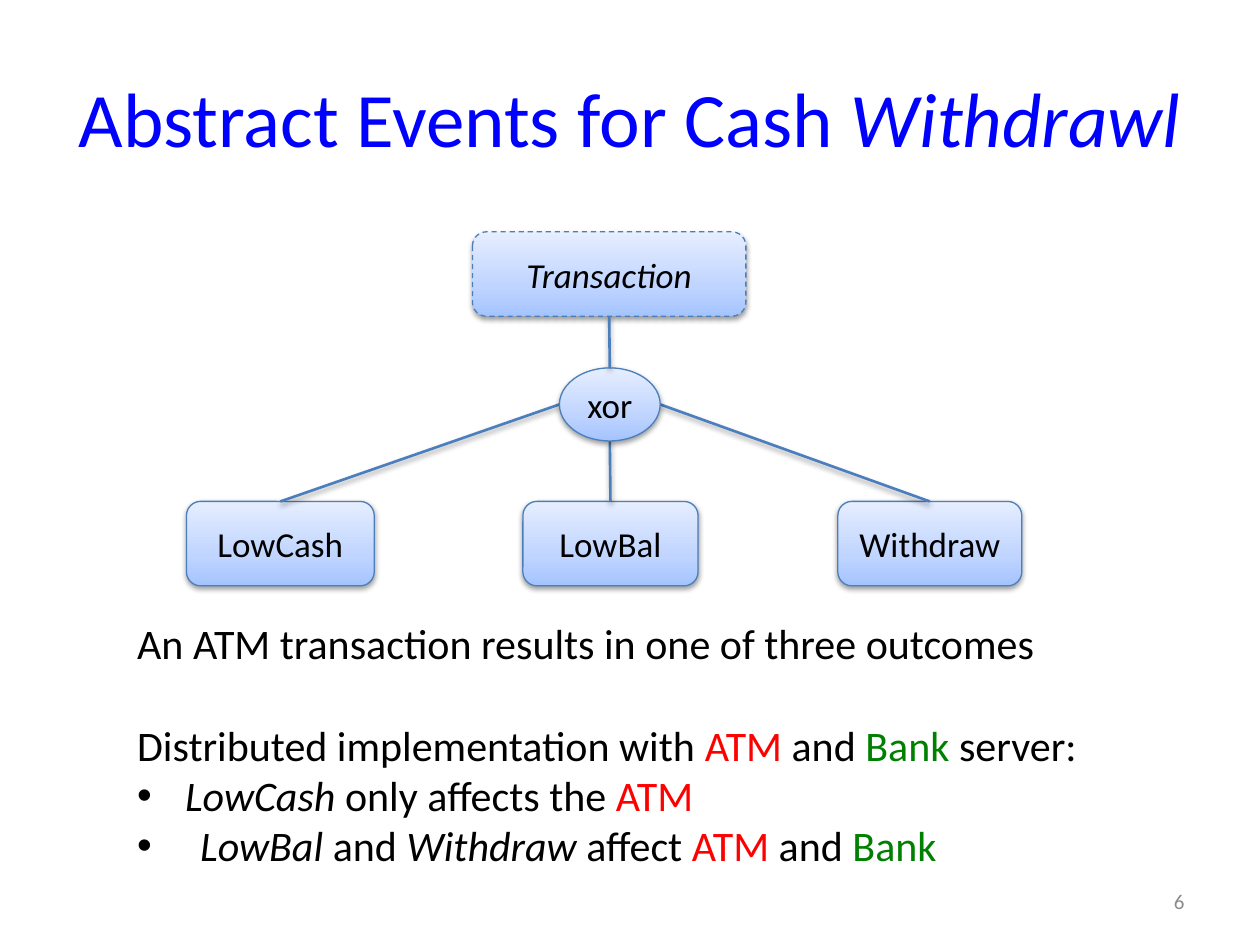
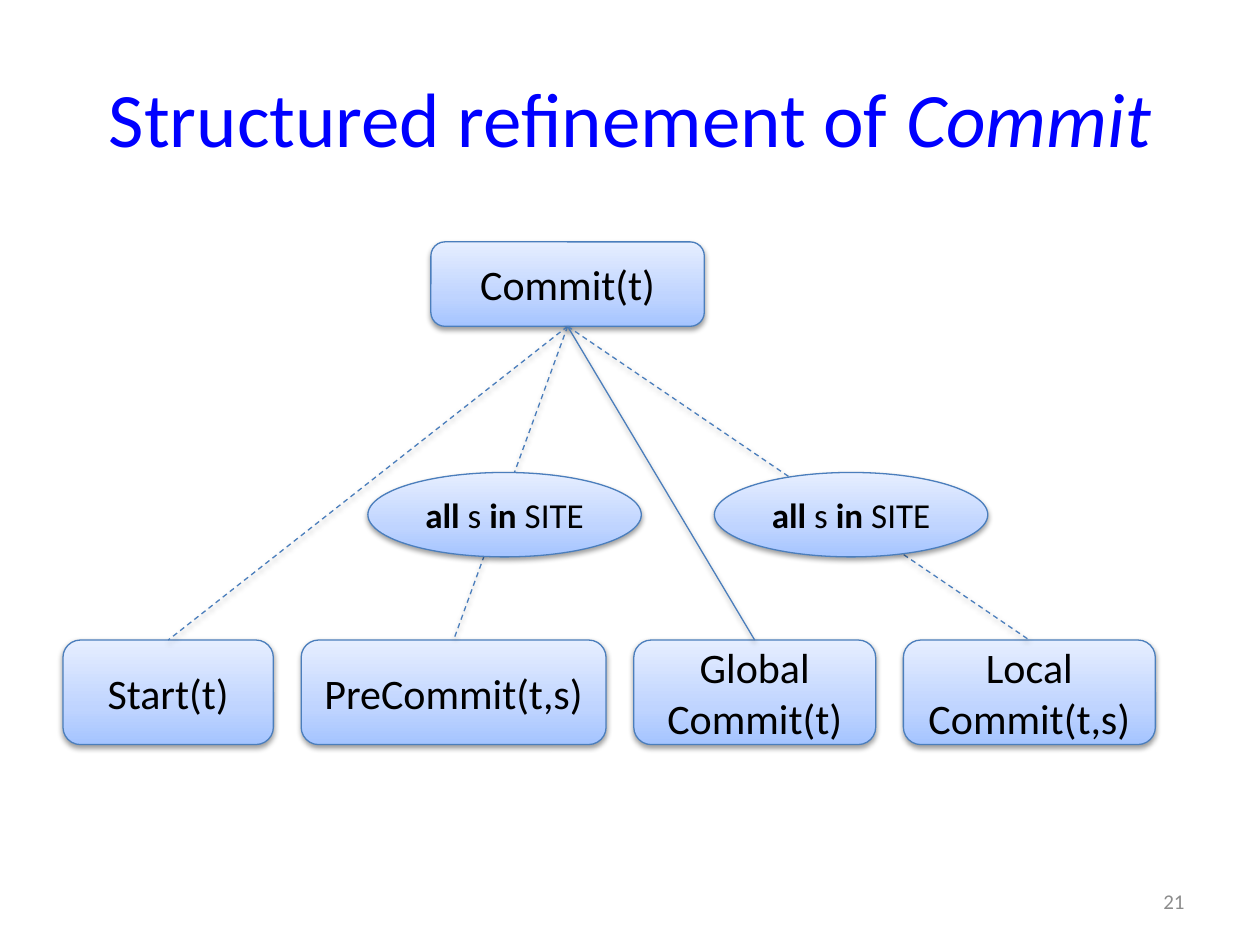
import copy
import pptx
import pptx.util
import pptx.dml.color
import pptx.enum.dml
import pptx.enum.shapes
import pptx.enum.text
import pptx.oxml
import pptx.oxml.ns

Inches = pptx.util.Inches
Pt = pptx.util.Pt
KIND = pptx.enum.shapes.MSO_SHAPE
ALIGN = pptx.enum.text.PP_ALIGN
MIDDLE = pptx.enum.text.MSO_ANCHOR.MIDDLE
DASH = pptx.enum.dml.MSO_LINE.DASH

FONT = "Calibri"
HUES = {"title": "0000FF", "text": "000000", "red": "FF0000", "green": "008000",
        "edge": "4B7EBC", "page": "8C8C8C"}
STOPS = [(0, "A4C4FF"), (0.35, "BFD4FF"), (1, "E6EEFF")]
SHADOW = """<a:effectLst %s><a:outerShdw blurRad="40000" dist="20000" dir="5400000"
 rotWithShape="0"><a:srgbClr val="000000"><a:alpha val="38000"/></a:srgbClr>
</a:outerShdw></a:effectLst>""" % pptx.oxml.ns.nsdecls("a")

CASH = {
    "title": [("Abstract Events for Cash ", ""), ("Withdrawl", "i")],
    "page": "6",
    "root": ([("Transaction", "i")], (3.75, 1.84, 2.17, 0.67)),
    "leaves": [("LowCash", 1.48, 1.49), ("LowBal", 4.15, 1.39), ("Withdraw", 6.65, 1.46)],
    "xor": ([("xor", "")], (4.44, 2.92, 0.8, 0.58)),
}
NOTES = [
    ([("An ATM transaction results in one of three outcomes", "")], 0, 0),
    ([("Distributed implementation with ", ""), ("ATM", "red"), (" and ", ""),
      ("Bank", "green"), (" server:", "")], 0, 29.3),
    ([("LowCash", "i"), (" only affects the ", ""), ("ATM", "red")], 0.38, 0),
    ([("LowBal", "i"), (" and ", ""), ("Withdraw", "i"), (" affect ", ""),
      ("ATM", "red"), (" and ", ""), ("Bank", "green")], 0.5, 0),
]
COMMIT = {
    "title": [("Structured refinement of ", ""), ("Commit", "i")],
    "page": "21",
    "root": ([("Commit(t)", "")], (3.42, 1.92, 2.17, 0.67)),
    "leaves": [("Start(t)", 1.67, True), ("PreCommit(t,s)", 2.42, True),
               ("Global Commit(t)", 1.92, False), ("Local Commit(t,s)", 2, True)],
    "loops": [5.67, 2.92],
}
LOOP = [("all ", "b"), ("s ", ""), ("in ", "b"), ("SITE", "")]


def paint(hue):
    return pptx.dml.color.RGBColor.from_string(HUES.get(hue, hue))


def write(para, runs, size, hue="text", align=None):
    para.alignment = align
    for words, style in runs:
        run = para.add_run()
        run.text = words
        font = run.font
        font.name, font.size = FONT, Pt(size)
        font.bold, font.italic = style == "b", style == "i"
        font.color.rgb = paint(style if style in HUES else hue)


def trace(item, width, dash):
    item.line.color.rgb = paint("edge")
    item.line.width = Pt(width)
    if dash:
        item.line.dash_style = DASH
    item._element.spPr.append(pptx.oxml.parse_xml(SHADOW))


def node(slide, kind, runs, spot, size, dash=False):
    shape = slide.shapes.add_shape(kind, *map(Inches, spot))
    shape.fill.gradient()
    shape.fill.gradient_angle = 90
    stops = shape._element.spPr.find(".//" + pptx.oxml.ns.qn("a:gsLst"))
    stops.insert(1, copy.deepcopy(stops[0]))
    for stop, (place, hue) in zip(shape.fill.gradient_stops, STOPS):
        stop.position = place
        stop.color.rgb = paint(hue)
    trace(shape, 0.75, dash)
    frame = shape.text_frame
    frame.word_wrap = True
    frame.vertical_anchor = MIDDLE
    write(frame.paragraphs[0], runs, size, align=ALIGN.CENTER)


def link(slide, start, end, width, dash=False):
    line = slide.shapes.add_connector(pptx.enum.shapes.MSO_CONNECTOR.STRAIGHT,
                                      *map(Inches, start + end))
    trace(line, width, dash)


def top(spot):
    return spot[0] + spot[2] / 2, spot[1]


def foot(spot):
    return spot[0] + spot[2] / 2, spot[1] + spot[3]


def text(slide, spot):
    frame = slide.shapes.add_textbox(*map(Inches, spot)).text_frame
    frame.word_wrap = True
    return frame


def start(deck, data):
    slide = deck.slides.add_slide(deck.slide_layouts[5])
    title = slide.shapes.title
    title.left, title.top, title.width, title.height = map(Inches, (0.5, 0.3, 9, 1.25))
    title.text_frame.vertical_anchor = MIDDLE
    write(title.text_frame.paragraphs[0], data["title"], 44, "title", ALIGN.CENTER)
    page = text(slide, (7.17, 6.95, 2.33, 0.4))
    page.vertical_anchor = MIDDLE
    write(page.paragraphs[0], [(data["page"], "")], 12, "page", ALIGN.RIGHT)
    return slide


def bullet(para, indent):
    props = para._p.get_or_add_pPr()
    props.set("marL", str(Inches(indent)))
    props.set("indent", str(-Inches(indent)))
    for tag, key, value in (("buFont", "typeface", "Arial"), ("buChar", "char", "•")):
        props.append(pptx.oxml.parse_xml(
            '<a:%s %s %s="%s"/>' % (tag, pptx.oxml.ns.nsdecls("a"), key, value)))


def draw_cash(deck):
    slide = start(deck, CASH)
    runs, root = CASH["root"]
    node(slide, KIND.ROUNDED_RECTANGLE, runs, root, 20, True)
    label, gate = CASH["xor"]
    middle = gate[1] + gate[3] / 2
    ports = [(gate[0], middle), foot(gate), (gate[0] + gate[2], middle)]
    for (name, left, width), port in zip(CASH["leaves"], ports):
        spot = (left, 3.98, width, 0.67)
        node(slide, KIND.ROUNDED_RECTANGLE, [(name, "")], spot, 20)
        link(slide, port, top(spot), 1.5)
    node(slide, KIND.OVAL, label, gate, 20)
    link(slide, foot(root), top(gate), 1.5)
    frame = text(slide, (0.99, 4.85, 7.79, 2.42))
    for i, (runs, indent, gap) in enumerate(NOTES):
        para = frame.add_paragraph() if i else frame.paragraphs[0]
        if gap:
            para.space_before = Pt(gap)
        if indent:
            bullet(para, indent)
        write(para, runs, 24)


def draw_commit(deck):
    slide = start(deck, COMMIT)
    runs, root = COMMIT["root"]
    node(slide, KIND.ROUNDED_RECTANGLE, runs, root, 24)
    left = 0.5
    for name, width, dash in COMMIT["leaves"]:
        spot = (left, 5.08, width, 0.83)
        node(slide, KIND.ROUNDED_RECTANGLE, [(name, "")], spot, 24)
        link(slide, foot(root), top(spot), 0.75, dash)
        left += width + 0.22
    for left in COMMIT["loops"]:
        node(slide, KIND.OVAL, LOOP, (left, 3.75, 2.17, 0.67), 20)


def main():
    deck = pptx.Presentation()
    deck.slide_width, deck.slide_height = Inches(10), Inches(7.5)
    draw_cash(deck)
    draw_commit(deck)
    deck.save("out.pptx")


if __name__ == "__main__":
    main()
